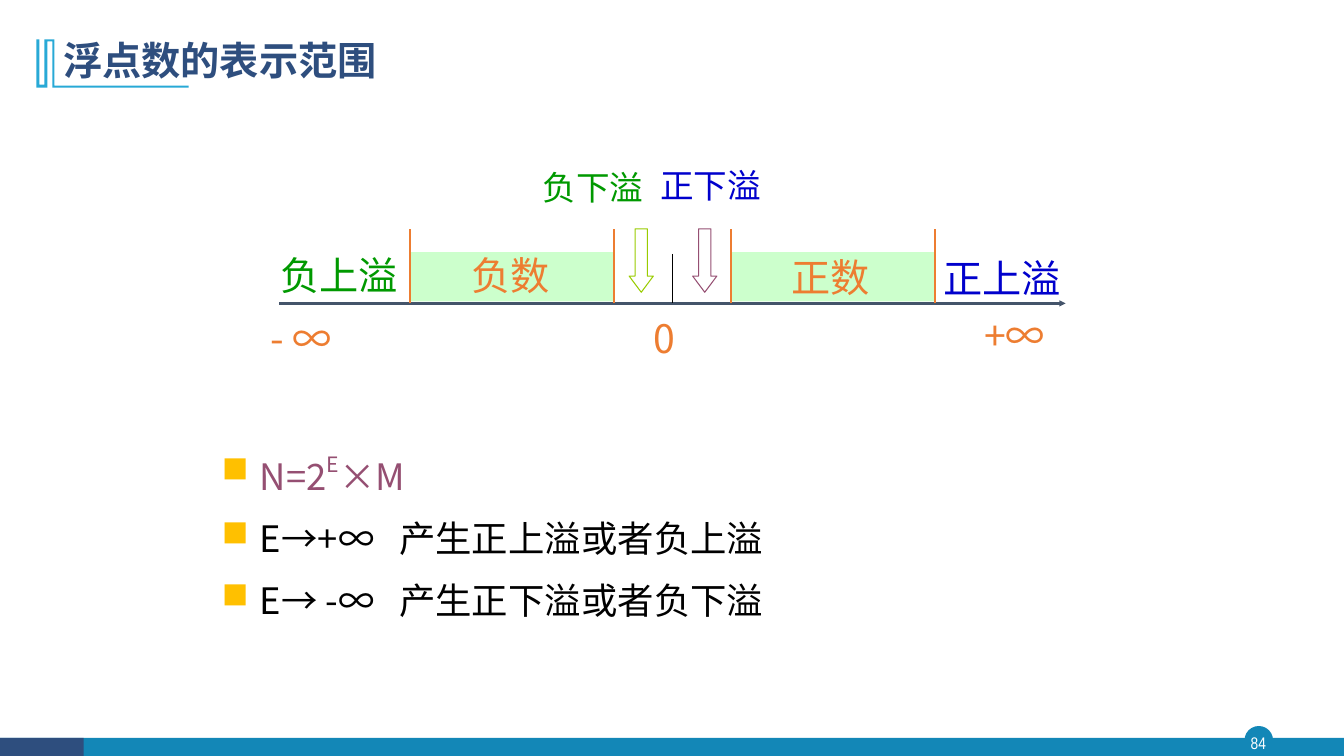
from dataclasses import dataclass

import pptx
import pptx.dml.color
import pptx.enum.shapes
import pptx.enum.text
import pptx.oxml
import pptx.oxml.ns
import pptx.util
from lxml import etree

EMU_PER_PX = 9144  # 100 px to the inch
SANS, SANS_JP, NARROW = "Noto Sans CJK SC", "Noto Sans CJK JP", "Arial Narrow"
COLORS = {
    "white": "FFFFFF", "black": "000000", "teal": "1387B7", "navy": "2E4E7E",
    "sky": "28A9D6", "orange": "ED7D31", "green": "009900", "blue": "0000CC",
    "mint": "CCFFCC", "slate": "44546A", "lime": "99CC00", "plum": "954F72",
    "gold": "FFC000",
}
SHAPE = pptx.enum.shapes.MSO_SHAPE
ALIGN = pptx.enum.text.PP_ALIGN
ANCHOR = pptx.enum.text.MSO_ANCHOR


@dataclass(frozen=True)
class Label:
    text: str
    left: int
    top: int
    width: int
    color: str
    size: int = 28


@dataclass(frozen=True)
class Bullet:
    text: str
    color: str
    font: str
    superscript: str = ""
    rest: str = ""


AXIS_Y = 301
BAND_TOP, BAND_WIDTH, BAND_HEIGHT = 250, 202, 49
BAND_LEFTS = (407, 725)
MARK_TOP = 227
UNDERFLOW_ARROWS = ((624, "lime"), (687, "plum"))
LABELS = (
    Label("- ∞", 267, 320, 68, "orange"),
    Label("0", 647, 320, 41, "orange"),
    Label("+∞", 975, 317, 82, "orange"),
    Label("负上溢", 277, 257, 126, "green"),
    Label("正上溢", 935, 260, 142, "blue"),
    Label("负下溢", 537, 172, 135, "green", 24),
    Label("正下溢", 654, 170, 135, "blue", 24),
    Label("负数", 467, 257, 95, "orange"),
    Label("正数", 784, 259, 95, "orange"),
)
BULLETS = (
    Bullet("N=2", "plum", SANS, "E", "×M"),
    Bullet("E→+∞\t产生正上溢或者负上溢", "black", SANS_JP),
    Bullet("E→ -∞\t产生正下溢或者负下溢", "black", SANS_JP),
)
TITLE_MARK = (
    (54, 39), (54, 85), (187, 85), (187, 87), (52, 87), (52, 41), (47, 41),
    (47, 87), (36, 87), (36, 39), (39, 39), (39, 84), (44, 84), (44, 39),
)


def px(length: int) -> pptx.util.Emu:
    return pptx.util.Emu(length * EMU_PER_PX)


def rgb(color: str) -> pptx.dml.color.RGBColor:
    return pptx.dml.color.RGBColor.from_string(COLORS[color])


def add_child(parent, tag: str, **attributes: str):
    child = etree.SubElement(parent, pptx.oxml.ns.qn(tag))
    for name, value in attributes.items():
        child.set(name, value)
    return child


def paint(shape, fill: str = "", line: str = "", weight: float = 1) -> None:
    shape.shadow.inherit = False
    if fill:
        shape.fill.solid()
        shape.fill.fore_color.rgb = rgb(fill)
    else:
        shape.fill.background()
    if line:
        shape.line.color.rgb = rgb(line)
        shape.line.width = pptx.util.Pt(weight)
    else:
        shape.line.fill.background()


def add_block(slide, kind, left: int, top: int, width: int, height: int, **style):
    block = slide.shapes.add_shape(kind, px(left), px(top), px(width), px(height))
    paint(block, **style)
    return block


def add_line(slide, start: tuple[int, int], end: tuple[int, int],
             color: str, weight: float):
    line = slide.shapes.add_connector(
        pptx.enum.shapes.MSO_CONNECTOR.STRAIGHT, *map(px, start + end))
    line.line.color.rgb = rgb(color)
    line.line.width = pptx.util.Pt(weight)
    add_child(line._element.spPr, "a:effectLst")
    return line


def add_run(paragraph, text: str, size: int, color: str, font: str = SANS,
            bold: bool = False):
    run = paragraph.add_run()
    run.text = text
    run.font.size = pptx.util.Pt(size)
    run.font.bold = bold
    run.font.color.rgb = rgb(color)
    run.font.name = font
    add_child(run.font._element, "a:ea", typeface=font)
    return run


def add_frame(slide, left: int, top: int, width: int, height: int,
              insets: tuple[int, int] = (10, 5), anchor=ANCHOR.TOP):
    """Add an empty wrapping text box; insets are horizontal and vertical px."""
    frame = slide.shapes.add_textbox(
        px(left), px(top), px(width), px(height)).text_frame
    frame.word_wrap = True
    frame.vertical_anchor = anchor
    frame.margin_left = frame.margin_right = px(insets[0])
    frame.margin_top = frame.margin_bottom = px(insets[1])
    return frame


def add_text(slide, text: str, *box: int, size: int, color: str,
             font: str = SANS, bold: bool = False, spacing: float = 1.0,
             align=ALIGN.LEFT, anchor=ANCHOR.TOP,
             insets: tuple[int, int] = (10, 5)) -> None:
    paragraph = add_frame(slide, *box, insets=insets, anchor=anchor).paragraphs[0]
    paragraph.alignment = align
    paragraph.line_spacing = spacing
    add_run(paragraph, text, size, color, font, bold)


def add_decoration(slide) -> None:
    add_block(slide, SHAPE.OVAL, 1235, 721, 27, 27, fill="teal", line="teal")
    add_block(slide, SHAPE.RECTANGLE, 0, 732, 1333, 18, fill="teal")
    add_block(slide, SHAPE.RECTANGLE, 0, 732, 83, 18, fill="navy")
    add_text(slide, "84", 1232, 721, 32, 31, size=12, color="white", font=NARROW,
             align=ALIGN.CENTER, anchor=ANCHOR.MIDDLE, insets=(0, 0))
    outline = slide.shapes.build_freeform(*TITLE_MARK[0], scale=EMU_PER_PX)
    outline.add_line_segments(TITLE_MARK[1:], close=True)
    paint(outline.convert_to_shape(), fill="sky")


def add_number_line(slide) -> None:
    axis = add_line(slide, (277, AXIS_Y), (1057, AXIS_Y), "slate", 2.25)
    add_child(axis.line._get_or_add_ln(), "a:tailEnd",
              type="triangle", w="sm", len="sm")
    add_line(slide, (667, 252), (667, AXIS_Y), "black", 0.25)
    for left in BAND_LEFTS:
        add_block(slide, SHAPE.RECTANGLE, left, BAND_TOP, BAND_WIDTH, BAND_HEIGHT,
                  fill="mint")
        for x in (left, left + BAND_WIDTH):
            add_line(slide, (x, AXIS_Y), (x, MARK_TOP), "orange", 1.5)
    for left, color in UNDERFLOW_ARROWS:
        arrow = add_block(slide, SHAPE.DOWN_ARROW, left, MARK_TOP, 24, 63,
                          line=color, weight=0.75)
        arrow.adjustments[0], arrow.adjustments[1] = 0.5, 0.67
    for label in LABELS:
        add_text(slide, label.text, label.left, label.top, label.width, 49,
                 size=label.size, color=label.color, spacing=0.8, insets=(1, 1))


def add_bullets(slide) -> None:
    frame = add_frame(slide, 210, 438, 899, 220)
    for index, bullet in enumerate(BULLETS):
        paragraph = frame.add_paragraph() if index else frame.paragraphs[0]
        paragraph.alignment = ALIGN.JUSTIFY
        paragraph.line_spacing = 1.1
        if index:
            paragraph.space_before = pptx.util.Pt(10)
        properties = paragraph._p.get_or_add_pPr()
        properties.set("marL", str(px(38)))
        properties.set("indent", str(px(-38)))
        color = add_child(properties, "a:buClr")
        add_child(color, "a:srgbClr", val=COLORS["gold"])
        add_child(properties, "a:buChar", char="■")
        if "\t" in bullet.text:
            tabs = add_child(properties, "a:tabLst")
            add_child(tabs, "a:tab", pos=str(px(176)), algn="l")
        add_run(paragraph, bullet.text, 26, bullet.color, bullet.font)
        if bullet.superscript:
            power = add_run(paragraph, bullet.superscript, 26, bullet.color, bullet.font)
            power.font._element.set("baseline", "50000")
            add_run(paragraph, bullet.rest, 26, bullet.color, bullet.font)


def main() -> None:
    deck = pptx.Presentation()
    deck.slide_width, deck.slide_height = px(1333), px(750)
    slide = deck.slides.add_slide(deck.slide_layouts[6])
    add_decoration(slide)
    add_text(slide, "浮点数的表示范围", 53, 28, 1150, 68, size=28, color="navy",
             bold=True, spacing=0.9, anchor=ANCHOR.MIDDLE)
    add_bullets(slide)
    add_number_line(slide)
    deck.save("out.pptx")


if __name__ == "__main__":
    main()
